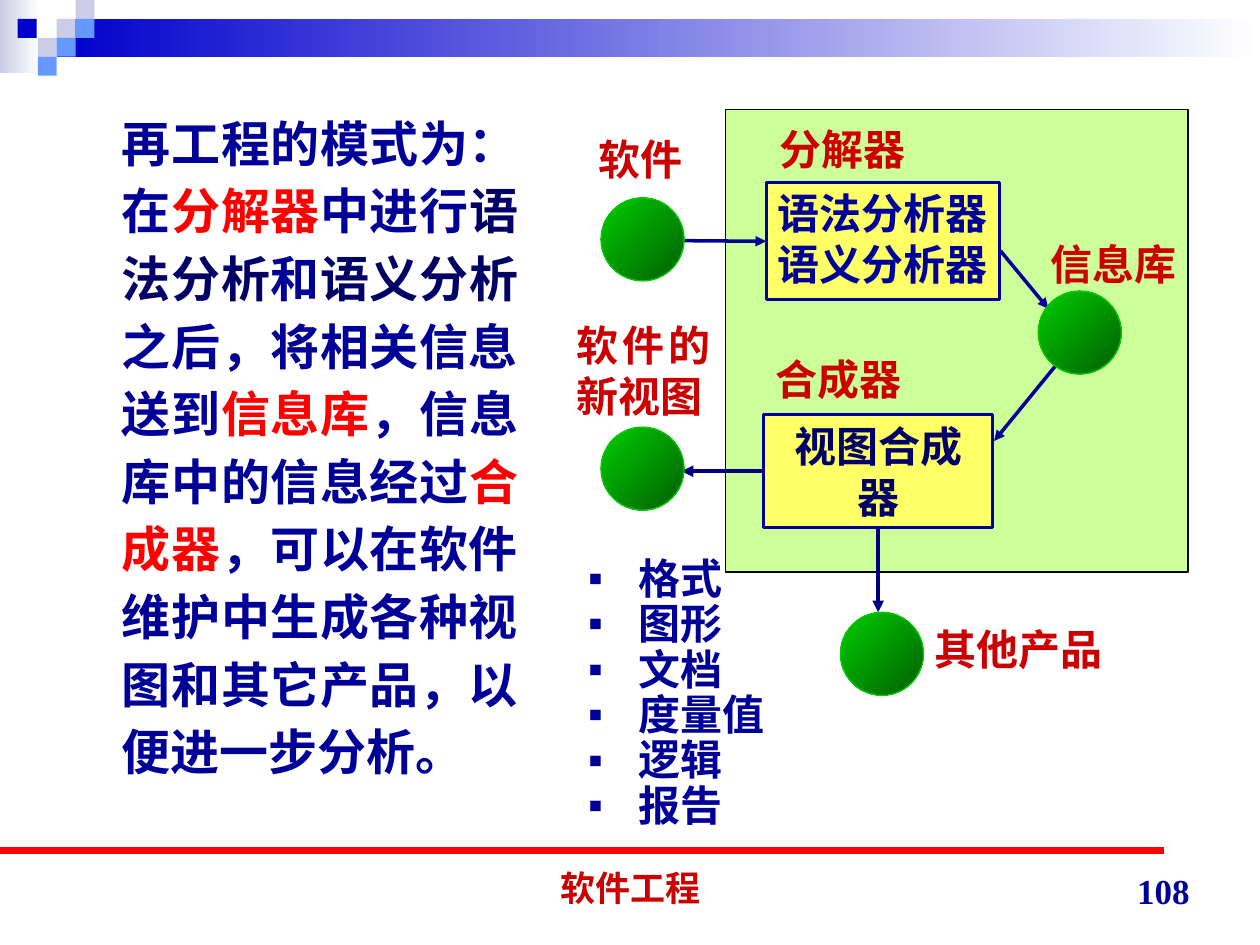
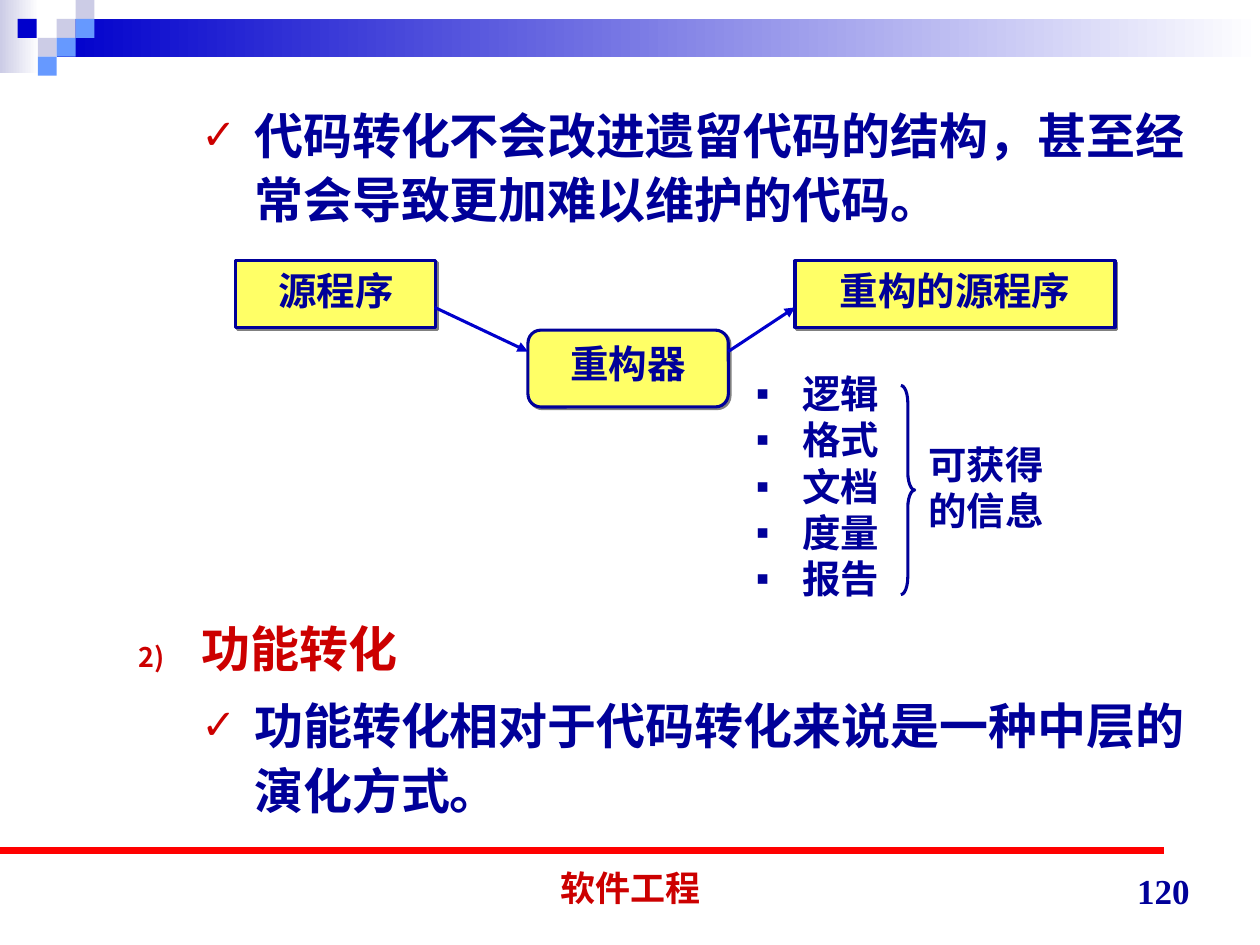
from lxml.etree import SubElement
from pptx import Presentation
from pptx.dml.color import RGBColor
from pptx.enum.shapes import MSO_CONNECTOR, MSO_SHAPE as Preset
from pptx.enum.text import MSO_ANCHOR as Anchor, PP_ALIGN as Align
from pptx.oxml.ns import qn
from pptx.util import Inches, Pt

WHITE = RGBColor(0xFF, 0xFF, 0xFF)
BLACK = RGBColor(0x00, 0x00, 0x00)
LAVENDER = RGBColor(0xCC, 0xCC, 0xE6)
SKY = RGBColor(0x66, 0x99, 0xFF)
BLUE = RGBColor(0x00, 0x00, 0xCC)
INK = RGBColor(0x00, 0x00, 0x99)
NAVY = RGBColor(0x00, 0x00, 0x80)
DEEP = RGBColor(0x00, 0x00, 0x66)
RED = RGBColor(0xFF, 0x00, 0x00)
CRIMSON = RGBColor(0xCC, 0x00, 0x00)
YELLOW = RGBColor(0xFF, 0xFF, 0x66)
LIME = RGBColor(0xCC, 0xFF, 0x99)
GREEN = RGBColor(0x00, 0xCC, 0x00)
DARK_GREEN = RGBColor(0x00, 0x5E, 0x00)

SANS, SERIF, CHINESE = "Arial", "Times New Roman", "Noto Sans CJK SC"


class SlideBuilder:
    """Holds the deck, the current slide and the shared style."""

    def __init__(self):
        self.deck = Presentation()
        self.deck.slide_width, self.deck.slide_height = Inches(10), Inches(7.5)
        self.slide = None

    def new_slide(self, number):
        self.slide = self.deck.slides.add_slide(self.deck.slide_layouts[6])
        # Header band and checkered corner
        self.shape(0, 0, 0.31, 0.58, (WHITE, LAVENDER), angle=180)
        self.shape(0.45, 0.15, 9.55, 0.3, (WHITE, BLUE), angle=180)
        self.shape(0.14, 0.15, 0.15, 0.15, BLUE)
        tiles = [(3, 1, LAVENDER), (4, 0, LAVENDER), (4, 1, SKY),
                 (2, 2, LAVENDER), (3, 2, SKY), (2, 3, SKY)]
        for column, row, color in tiles:
            self.shape(column * 0.15, row * 0.15, 0.15, 0.15, color)
        # Footer
        self.line((0, 6.75), (9.24, 6.75), RED, 4.5)
        self.text(3.42, 6.76, 3.17, 0.5, ["软件工程"], 20, CRIMSON, SANS,
                  Align.CENTER, anchor=Anchor.BOTTOM)
        self.text(7.21, 6.78, 2.33, 0.5, [number], 20, INK, SERIF,
                  Align.RIGHT, anchor=Anchor.BOTTOM)

    def shape(self, left, top, width, height, fill, outline=None, weight=1.75,
              kind=Preset.RECTANGLE, angle=0):
        """Add a preset shape; fill is None, a colour or a colour pair."""
        shape = self.slide.shapes.add_shape(
            kind, Inches(left), Inches(top), Inches(width), Inches(height))
        shape.shadow.inherit = False
        if fill is None:
            shape.fill.background()
        elif isinstance(fill, RGBColor):
            shape.fill.solid()
            shape.fill.fore_color.rgb = fill
        else:
            shape.fill.gradient()
            shape.fill.gradient_angle = angle
            for stop, color in zip(shape.fill.gradient_stops, fill):
                stop.color.rgb = color
        if outline is None:
            shape.line.fill.background()
        else:
            shape.line.color.rgb = outline
            shape.line.width = Pt(weight)
        return shape

    def circle(self, left, top):
        self.shape(left, top, 0.66, 0.66, (DARK_GREEN, GREEN), GREEN, 0.75,
                   Preset.OVAL, angle=135)

    def line(self, start, end, color, weight, arrow=False):
        line = self.slide.shapes.add_connector(
            MSO_CONNECTOR.STRAIGHT, *map(Inches, start + end))
        line.line.color.rgb = color
        line.line.width = Pt(weight)
        properties = line._element.spPr
        if arrow:
            SubElement(properties.find(qn("a:ln")), qn("a:tailEnd"), type="triangle")
        SubElement(properties, qn("a:effectLst"))
        return line

    def style_run(self, span, size, color, font):
        span.font.size, span.font.bold, span.font.name = Pt(size), True, font
        span.font.color.rgb = color
        SubElement(span._r.get_or_add_rPr(), qn("a:ea"), typeface=CHINESE)

    def fill_text(self, frame, lines, size, color, font, align):
        """Fill a frame; a line is a string or a list of (text, colour)."""
        frame.word_wrap = True
        for index, line in enumerate(lines):
            para = frame.add_paragraph() if index else frame.paragraphs[0]
            para.alignment = align
            spans = [(line, color)] if isinstance(line, str) else line
            for words, shade in spans:
                span = para.add_run()
                span.text = words
                self.style_run(span, size, shade, font)

    def text(self, left, top, width, height, lines, size=24, color=CRIMSON,
             font=SERIF, align=Align.JUSTIFY, anchor=Anchor.TOP):
        box = self.slide.shapes.add_textbox(
            Inches(left), Inches(top), Inches(width), Inches(height))
        box.text_frame.vertical_anchor = anchor
        self.fill_text(box.text_frame, lines, size, color, font, align)
        return box.text_frame.paragraphs

    def node(self, left, top, width, height, lines, size, color=INK,
             kind=Preset.RECTANGLE, anchor=Anchor.TOP, shadow=False):
        """Add a yellow box with text."""
        box = self.shape(left, top, width, height, YELLOW, INK, kind=kind)
        frame = box.text_frame
        frame.vertical_anchor = anchor
        frame.margin_left = frame.margin_right = Inches(0.08)
        self.fill_text(frame, lines, size, color, SERIF, Align.CENTER)
        if shadow:
            effects = box._element.spPr.find(qn("a:effectLst"))
            outer = SubElement(effects, qn("a:outerShdw"), dist=str(Pt(1.4)),
                               dir="2700000", algn="ctr", rotWithShape="0")
            SubElement(outer, qn("a:srgbClr"), val="808080")
        return box

    def bullet(self, para, margin, hanging, mark="▪", start=None, percent=100,
               color=INK):
        """Give a paragraph a character mark, or a number if start is set."""
        properties = para._p.get_or_add_pPr()
        properties.set("marL", str(Inches(margin)))
        properties.set("indent", str(-Inches(hanging)))
        shade = SubElement(properties, qn("a:buClr"))
        SubElement(shade, qn("a:srgbClr"), val=str(color))
        SubElement(properties, qn("a:buSzPct"), val=str(percent * 1000))
        SubElement(properties, qn("a:buFont"), typeface=SANS)
        if start:
            SubElement(properties, qn("a:buAutoNum"), type="arabicParenR",
                       startAt=str(start))
        else:
            SubElement(properties, qn("a:buChar"), char=mark)

    def bullets(self, left, top, width, height, lines, size, gap, spacing, font):
        for para in self.text(left, top, width, height, lines, size, INK, font):
            para.line_spacing = spacing
            self.bullet(para, gap, gap)

    def check(self, para):
        para.line_spacing, para.space_before = 1.1, Pt(7)
        self.bullet(para, 1.42, 0.42, "✓", percent=85, color=CRIMSON)


def build_reengineering_model(page):
    page.new_slide("108")
    # Explanation
    story = [("再工程的模式为：在", INK), ("分解器", RED), ("中进行", INK),
             ("语法分析", DEEP), ("和", INK), ("语义分析", DEEP),
             ("之后，将相关信息送到", INK), ("信息库", RED),
             ("，信息库中的信息经过", INK), ("合成器", RED),
             ("，可以在软件维护中生成各种视图和其它产品，以便进一步分析。", INK)]
    para = page.text(0.87, 0.78, 3.34, 6.28, [story], 28, font=SANS)[0]
    para.line_spacing, para.space_before = 1.15, Pt(5.2)

    # Environment with its two tools
    page.shape(5.76, 0.87, 3.67, 3.67, LIME, BLACK, 0.75)
    analyzer = page.node(6.08, 1.45, 1.85, 0.93, ["语法分析器", "语义分析器"], 24)
    analyzer.text_frame.margin_top = Inches(0.04)
    composer = page.node(6.06, 3.29, 1.82, 0.9, ["视图合成器"], 24, DEEP,
                         anchor=Anchor.MIDDLE)

    # Flow
    page.line((5.4, 1.91), (6.08, 1.91), INK, 2, True).end_connect(analyzer, 1)
    page.line((7.94, 1.99), (8.32, 2.45), INK, 2, True)
    page.line((8.38, 2.9), (7.89, 3.5), INK, 2, True)
    page.line((6.06, 3.74), (5.41, 3.74), NAVY, 2.25, True).begin_connect(composer, 1)
    page.line((6.97, 4.19), (6.97, 4.86), NAVY, 2.25, True).begin_connect(composer, 2)
    for left, top in [(4.77, 1.57), (8.24, 2.31), (4.77, 3.39), (6.67, 4.86)]:
        page.circle(left, top)

    # Labels
    labels = [("分解器", 6.09, 0.93, 1.56), ("合成器", 6.06, 2.76, 1.32),
              ("信息库", 8.24, 1.84, 1.22), ("软件", 4.65, 1.01, 0.88),
              ("软件的新视图", 4.48, 2.49, 1.26), ("其他产品", 7.32, 4.9, 1.54)]
    for label, left, top, width in labels:
        page.text(left, top, width, 0.6, [label])
    page.bullets(4.57, 4.38, 1.98, 2.6,
                 ["格式", "图形", "文档", "度量值", "逻辑", "报告"],
                 24, 0.4, 0.9, SERIF)


def build_code_conversion(page):
    page.new_slide("120")
    # Body text above and below the diagram
    note = page.text(0.5, 0.74, 9.04, 1.2,
                     ["代码转化不会改进遗留代码的结构，甚至经常会导致更加难以维护的代码。"],
                     28, INK, SANS, Align.LEFT)[0]
    page.check(note)
    heading, detail = page.text(
        0.5, 4.86, 9.04, 1.9,
        [[("功能转化", CRIMSON)], "功能转化相对于代码转化来说是一种中层的演化方式。"],
        28, INK, SANS, Align.LEFT)
    page.bullet(heading, 1, 0.5, start=2, percent=55, color=CRIMSON)
    page.check(detail)

    # Restructuring flow
    page.node(1.87, 2.07, 1.59, 0.53, ["源程序"], 22, shadow=True)
    page.node(4.19, 2.62, 1.59, 0.61, ["重构器"], 22, shadow=True,
              kind=Preset.ROUNDED_RECTANGLE)
    page.node(6.31, 2.07, 2.54, 0.53, ["重构的源程序"], 22, shadow=True)
    page.line((3.45, 2.44), (4.19, 2.79), BLUE, 1.75, True)
    page.line((5.78, 2.79), (6.31, 2.44), BLUE, 1.75, True)

    # Available information
    page.bullets(5.9, 2.89, 1.59, 1.93, ["逻辑", "格式", "文档", "度量", "报告"],
                 22, 0.37, 1.0, CHINESE)
    brace = page.shape(7.15, 3.06, 0.11, 1.66, None, INK, kind=Preset.RIGHT_BRACE)
    brace.adjustments[0] = 1.27
    page.text(7.27, 3.45, 1.59, 0.96, ["可获得", "的信息"], 22, INK)


def main():
    page = SlideBuilder()
    build_reengineering_model(page)
    build_code_conversion(page)
    page.deck.save("out.pptx")


if __name__ == "__main__":
    main()
